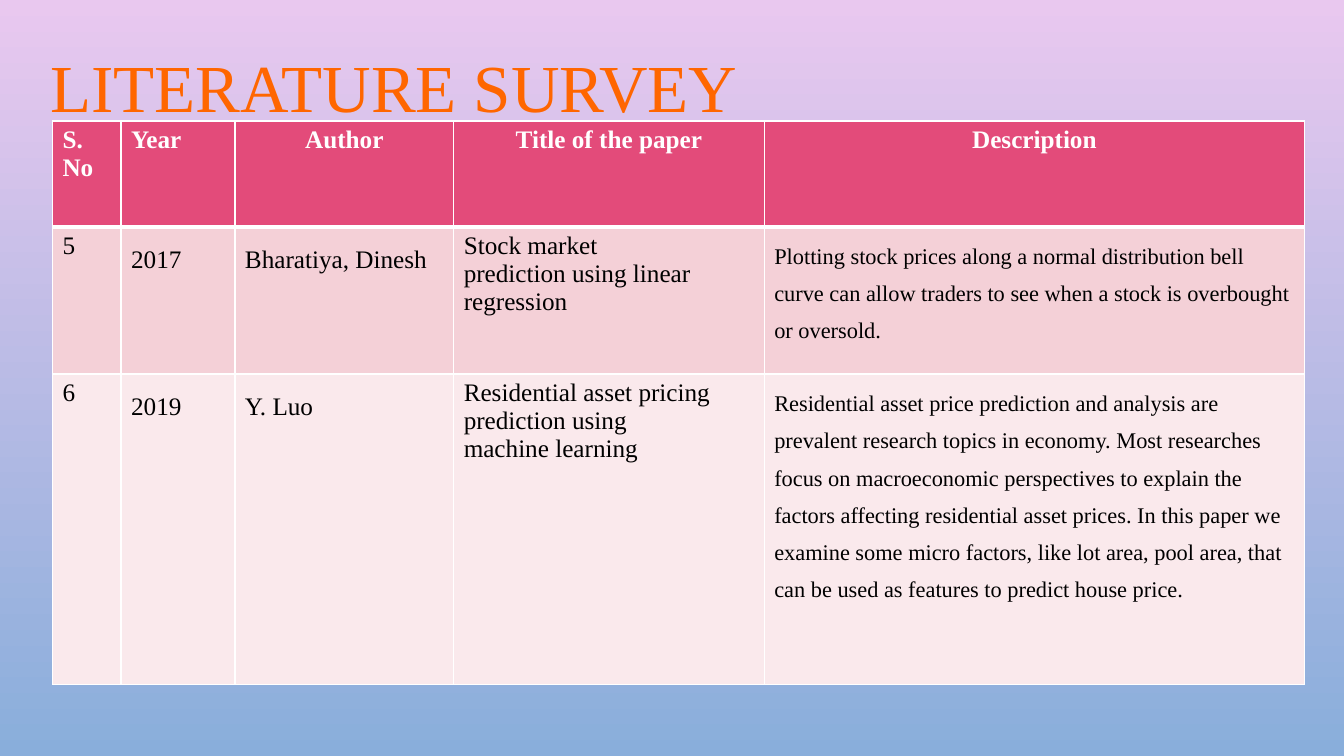
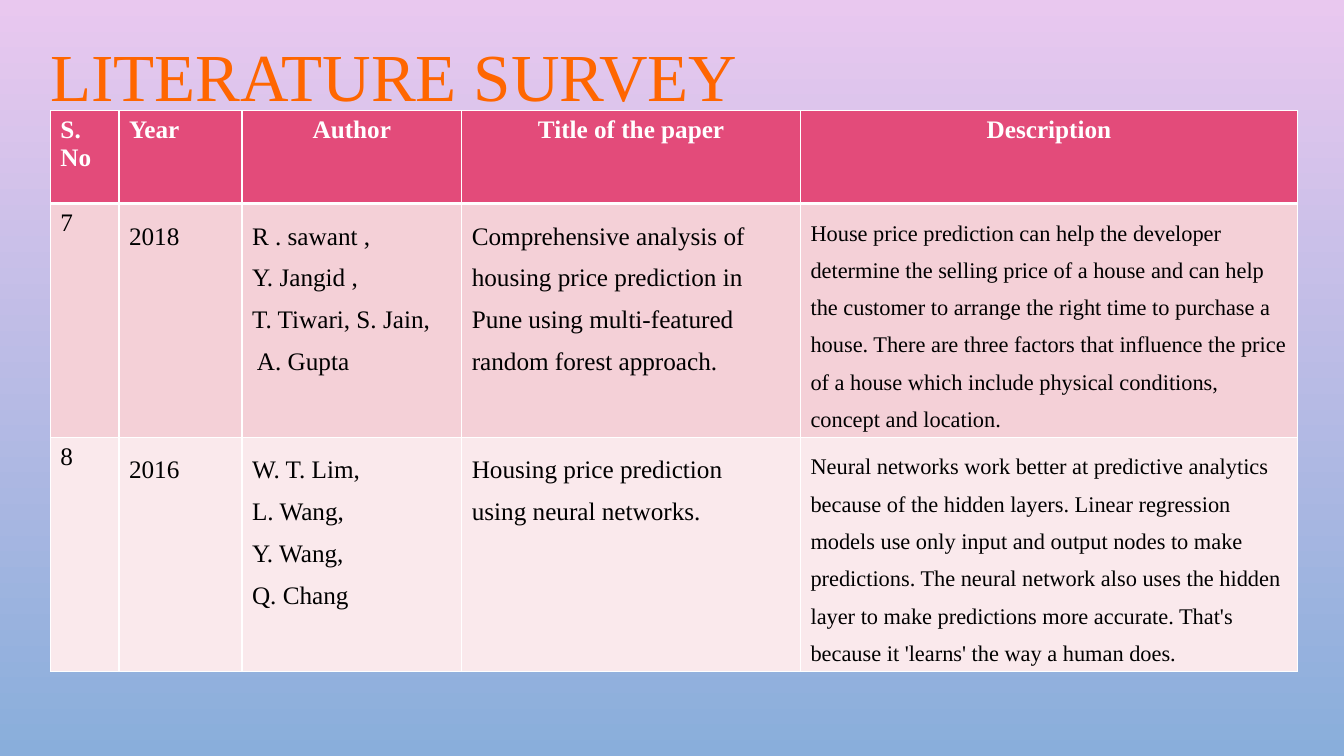
"""Build two literature survey slides, each with a title and a table."""
from pptx import Presentation
from pptx.dml.color import RGBColor
from pptx.enum.text import MSO_ANCHOR, MSO_AUTO_SIZE, PP_ALIGN
from pptx.oxml import parse_xml
from pptx.oxml.ns import nsdecls
from pptx.util import Inches, Pt

TITLE = "LITERATURE SURVEY"
HEADS = ["S. No", "Year", "Author", "Title of the paper", "Description"]
PAGES = [
    {
        "title_top": 0.43,
        "at": (0.52, 1.2),
        "cols": [0.68, 1.13, 2.17, 3.08, 5.36],
        "rows": [1.05, 1.46, 3.08],
        "gaps": [1, 1.5, 1.5, 1, 1.5],
        "data": [
            ["5", "2017", "Bharatiya, Dinesh",
             "Stock market \nprediction using linear regression",
             "Plotting stock prices along a normal distribution bell curve can "
             "allow traders to see when a stock is overbought or oversold."],
            ["6", "2019", "Y. Luo",
             "Residential asset pricing prediction using\nmachine learning",
             "Residential asset price prediction and analysis are prevalent "
             "research topics in economy. Most researches focus on macroeconomic "
             "perspectives to explain the factors affecting residential asset "
             "prices. In this paper we examine some micro factors, like lot area, "
             "pool area, that can be used as features to predict house price.\u00a0"],
        ],
    },
    {
        "title_top": 0.32,
        "at": (0.5, 1.1),
        "cols": [0.68, 1.22, 2.18, 3.36, 4.93],
        "rows": [0.92, 2.3, 2.3],
        "gaps": [1, 1.5, 1.5, 1.5, 1.5],
        "data": [
            ["7", "2018",
             "R . sawant , \nY. Jangid , \nT. Tiwari, S. Jain, \n A. Gupta",
             "Comprehensive analysis of housing price prediction in\n"
             "Pune using multi-featured random forest approach.",
             "House price prediction can help the developer determine the selling "
             "price of a house and can help the customer to arrange the right time "
             "to purchase a house. There are three factors that influence the price "
             "of a house which include physical conditions, concept and location."],
            ["8", "2016", "W. T. Lim, \nL. Wang, \nY. Wang, \nQ. Chang",
             "Housing price prediction \nusing neural networks.",
             "Neural networks work better at predictive analytics because of the "
             "hidden layers. Linear regression models use only input and output "
             "nodes to make predictions. The neural network also uses the hidden "
             "layer to make predictions more accurate. That's because it 'learns' "
             "the way a human does."],
        ],
    },
]
FONT = "Times New Roman"
SKY = ["E9C8EF", "89AEDB"]
FILLS = ["E34B7A", "F4D0D7", "FAE9EC"]
ORANGE, WHITE, BLACK = "FF6600", "FFFFFF", "000000"


def paint(color, code):
    color.rgb = RGBColor.from_string(code)


def style(frame, size, code, gap, align, bold=False):
    for para in frame.paragraphs:
        para.line_spacing = gap
        para.alignment = align
        for run in para.runs:
            font = run.font
            font.name, font.size, font.bold = FONT, Pt(size), bold
            paint(font.color, code)


def border(cell, head):
    props = cell._tc.get_or_add_tcPr()
    for side in "LRTB":
        width = Pt(3 if head and side == "B" else 1)
        props.append(parse_xml(
            f'<a:ln{side} {nsdecls("a")} w="{width}"><a:solidFill>'
            f'<a:srgbClr val="{WHITE}"/></a:solidFill></a:ln{side}>'))


def add_title(slide, top):
    title = slide.shapes.title
    title.left, title.top = Inches(0.4), Inches(top)
    title.width, title.height = Inches(10.97), Inches(0.94)
    frame = title.text_frame
    frame.text = TITLE
    frame.auto_size = MSO_AUTO_SIZE.NONE
    frame.vertical_anchor = MSO_ANCHOR.MIDDLE
    style(frame, 48, ORANGE, 0.9, PP_ALIGN.LEFT)


def add_grid(slide, page):
    cols, rows = page["cols"], page["rows"]
    left, top = page["at"]
    table = slide.shapes.add_table(
        len(rows), len(cols), Inches(left), Inches(top),
        Inches(sum(cols)), Inches(sum(rows))).table
    for col, width in zip(table.columns, cols):
        col.width = Inches(width)
    for row, height in zip(table.rows, rows):
        row.height = Inches(height)
    for r, texts in enumerate([HEADS] + page["data"]):
        head = r == 0
        for c, text in enumerate(texts):
            cell = table.cell(r, c)
            border(cell, head)
            cell.fill.solid()
            paint(cell.fill.fore_color, FILLS[r])
            cell.text_frame.text = text
            size = 16 if c == 4 and not head else 18
            align = PP_ALIGN.CENTER if head and c > 1 else PP_ALIGN.LEFT
            style(cell.text_frame, size, WHITE if head else BLACK,
                  1 if head else page["gaps"][c], align, head)


deck = Presentation()
deck.slide_width, deck.slide_height = Inches(13.33), Inches(7.5)
back = deck.slide_master.background.fill
back.gradient()
back.gradient_angle = 270
for stop, code in zip(back.gradient_stops, SKY):
    paint(stop.color, code)
for page in PAGES:
    slide = deck.slides.add_slide(deck.slide_layouts[5])
    add_title(slide, page["title_top"])
    add_grid(slide, page)
deck.save("out.pptx")
